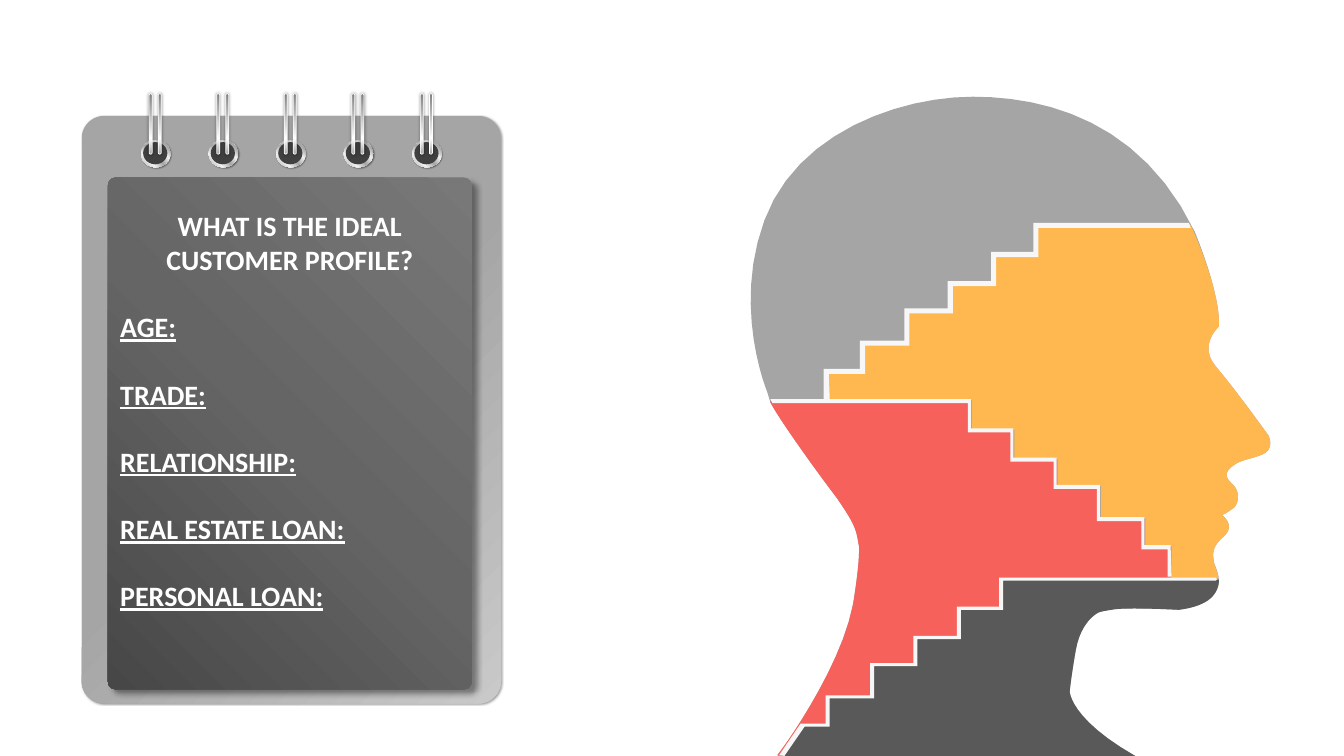
import pptx
import pptx.util
import pptx.dml.color
import pptx.enum.shapes
import pptx.enum.text
import pptx.oxml
import pptx.oxml.ns

PX = 9144  # EMU in one px, 100 px to the inch
KIND = pptx.enum.shapes.MSO_SHAPE
ALIGN = pptx.enum.text.PP_ALIGN
NS = pptx.oxml.ns.nsdecls("a")
Pt = pptx.util.Pt

# Gradients: stops, then the shading
RING = ([(0, "FFFFFF"), (17, "A6A6A6"), (35, "F2F2F2"), (55, "A6A6A6"),
         (75, "F2F2F2"), (100, "A6A6A6")], '<a:lin ang="2700000" scaled="0"/>')
WIRE = ([(0, "808080"), (23, "A6A6A6"), (52, "D9D9D9"), (74, "FFFFFF"),
         (100, "A6A6A6")], '<a:lin ang="5400000" scaled="0"/>')
BOARD = ([(0, "C9C9C9"), (50, "A5A5A5")],
         '<a:path path="circle"><a:fillToRect l="100000" t="100000"/></a:path>')
PAGE = ([(0, "474747"), (50, "656565"), (100, "787878")],
        '<a:path path="circle"><a:fillToRect t="100000" r="100000"/></a:path>')

# Curves of the head: control points, three to a segment
CROWN = [(761, 389), (726, 306), (758, 219), (790, 131), (893, 96), (965, 96),
         (1037, 96), (1132, 120), (1185, 230)]
FACE = [(1185, 230), (1211, 292), (1209, 324), (1209, 324), (1187, 343), (1207, 365),
        (1225, 386), (1258, 432), (1258, 432), (1258, 432), (1265, 445), (1252, 451),
        (1239, 456), (1231, 456), (1223, 462), (1215, 468), (1214, 473), (1223, 481),
        (1231, 489), (1228, 502), (1222, 505), (1215, 510), (1212, 511), (1212, 511),
        (1212, 511), (1226, 521), (1214, 532), (1201, 543), (1203, 550), (1204, 558)]
JAW = [(1206, 564), (1212, 575), (1207, 585)]
CHIN = [(1203, 594), (1193, 602), (1169, 605), (1169, 605), (1115, 602), (1102, 605),
        (1089, 607), (1089, 608), (1089, 608), (1089, 608), (1072, 616), (1067, 645),
        (1062, 674), (1061, 686), (1061, 686), (1061, 686), (1061, 713), (1126, 750)]
NAPE = [(771, 750), (833, 667), (846, 600), (846, 600), (853, 559), (852, 542),
        (849, 526), (850, 523), (830, 494), (807, 464), (771, 413), (764, 399)]


def color(text):
    return pptx.dml.color.RGBColor.from_string(text)


def curve(start, knots, parts=12):
    """Points along a chain of cubic curves."""
    out = [start]
    for a, b, c in zip(knots[::3], knots[1::3], knots[2::3]):
        last = out[-1]
        for n in range(1, parts + 1):
            t = n / parts
            u = 1 - t
            out.append(tuple(u**3 * p + 3 * u * u * t * q + 3 * u * t * t * r + t**3 * s
                             for p, q, r, s in zip(last, a, b, c)))
    return out


def stairs(x, y, side, last):
    """Five steps down, to the left (-1) or the right (1)."""
    out = [(x, y)]
    for run, rise in zip((42, 43, 43, 44, last), (29, 29, 27, 32, 28)):
        y += rise
        out.append((x, y))
        x += side * run
        out.append((x, y))
    return out


class Deck:
    def __init__(self):
        self.show = pptx.Presentation()
        self.show.slide_width, self.show.slide_height = 1333 * PX, 750 * PX
        self.slide = self.show.slides.add_slide(self.show.slide_layouts[6])
        self.font = {"name": "Calibri", "size": Pt(20), "bold": True}

    def group(self):
        self.art = self.slide.shapes.add_group_shape().shapes

    def flat(self, points, fill):
        pen, *rest = [(x * PX, y * PX) for x, y in points]
        form = self.art.build_freeform(*pen, scale=1.0)
        form.add_line_segments(rest, close=True)
        self.paint(form.convert_to_shape(), fill)

    def shape(self, kind, box, fill, shade=None, bend=None, line=None, flip=False):
        item = self.art.add_shape(kind, *[v * PX for v in box])
        if bend is not None:
            item.adjustments[0] = bend
        self.paint(item, fill, line)
        if shade:
            self.cast(item, *shade)
        if flip:
            item._element.spPr.find(pptx.oxml.ns.qn("a:xfrm")).set("flipH", "1")
        return item

    def paint(self, item, fill, line=None):
        item.shadow.inherit = False
        if isinstance(fill, str):
            item.fill.solid()
            item.fill.fore_color.rgb = color(fill)
        else:
            item.fill.gradient()
            stops = "".join(f'<a:gs pos="{at * 1000}"><a:srgbClr val="{tone}"/></a:gs>'
                            for at, tone in fill[0])
            new = pptx.oxml.parse_xml(f'<a:gradFill {NS} rotWithShape="1">'
                                      f'<a:gsLst>{stops}</a:gsLst>{fill[1]}</a:gradFill>')
            props = item._element.spPr
            props.replace(props.find(pptx.oxml.ns.qn("a:gradFill")), new)
        if line:
            item.line.color.rgb = color(line)
            item.line.width = Pt(0.5)
        else:
            item.line.fill.background()

    def cast(self, item, blur, dist, angle):
        glow = pptx.oxml.parse_xml(
            f'<a:outerShdw {NS} blurRad="{blur * 12700}" dist="{dist * 12700}" '
            f'dir="{angle * 60000}" rotWithShape="0"><a:srgbClr val="000000">'
            '<a:alpha val="40000"/></a:srgbClr></a:outerShdw>')
        item._element.spPr.find(pptx.oxml.ns.qn("a:effectLst")).append(glow)

    def label(self, item, title, fields):
        frame = item.text_frame
        style = {"word_wrap": True, "margin_top": 29 * PX,
                 "vertical_anchor": pptx.enum.text.MSO_ANCHOR.TOP}
        for key, value in style.items():
            setattr(frame, key, value)
        for n, words in enumerate([title, *fields]):
            para = frame.add_paragraph() if n else frame.paragraphs[0]
            style = {"alignment": ALIGN.LEFT if n else ALIGN.CENTER,
                     "line_spacing": Pt(24), "space_before": Pt(24 if n else 0)}
            for key, value in style.items():
                setattr(para, key, value)
            run = para.add_run()
            run.text = words
            for key, value in {**self.font, "underline": n > 0}.items():
                setattr(run.font, key, value)
            run.font.color.rgb = color("FFFFFF")


def main():
    deck = Deck()

    # Head: whole outline, then each part with its pale stair edge
    deck.group()
    deck.flat(curve((761, 389), CROWN + FACE + JAW + CHIN)
              + curve((771, 750), NAPE), "A5A5A5")
    deck.flat(curve((1180, 222), FACE) + [(1208, 570), (1208, 574), (1162, 574)]
              + stairs(964, 397, 1, 26)[::-1] + [(819, 397)]
              + stairs(1026, 222, -1, 36)[::-1], "FFB850")
    deck.flat([(1179, 221)] + stairs(1025, 221, -1, 36) + [(817, 396), (823, 396)]
              + stairs(1030, 226, -1, 36)[::-1] + [(1181, 226)], "F7F7F7")
    deck.flat([(764, 398)] + stairs(963, 398, 1, 26) + [(1161, 575)]
              + stairs(995, 575, -1, 25) + [(777, 749)]
              + curve((771, 749), NAPE), "F6615B")
    deck.flat([(764, 396)] + stairs(963, 396, 1, 26) + [(1162, 572), (1158, 572)]
              + stairs(960, 400, 1, 26)[::-1] + [(766, 400)], "F7F7F7")
    deck.flat(curve((1209, 575), [(1209, 580), (1208, 582), (1207, 585)] + CHIN)
              + [(773, 750), (776, 750)] + stairs(994, 575, -1, 25)[::-1], "595959")
    deck.flat([(1206, 573)] + stairs(991, 573, -1, 25) + [(773, 749), (778, 750)]
              + stairs(995, 576, -1, 25)[::-1] + [(1206, 576), (1207, 575)], "F7F7F7")

    # Notepad board
    deck.group()
    deck.shape(KIND.ROUNDED_RECTANGLE, (81, 115, 416, 583), BOARD, (1, 1, 45), 0.054)

    # Five rings, each with a hole and two wires
    for n in range(5):
        x = 140 + 269 * n // 4
        deck.shape(KIND.OVAL, (x, 139, 29, 27), RING, (1, 1, 45), flip=True)
        deck.shape(KIND.OVAL, (x + 2, 141, 24, 22), "404040")
        for gap in (17, 8):
            deck.shape(KIND.ROUNDED_RECTANGLE, (x + gap, 93, 3, 60), WIRE,
                       (2, 0, 0), 0.5, "FFFFFF", True)

    # Page with the profile fields
    page = deck.shape(KIND.ROUNDED_RECTANGLE, (107, 176, 361, 508), PAGE,
                      (4, 5, 45), 0.022)
    deck.label(page, "WHAT IS THE IDEAL CUSTOMER PROFILE?",
               ["AGE:", "TRADE:", "RELATIONSHIP:", "REAL ESTATE LOAN:", "PERSONAL LOAN:"])
    deck.show.save("out.pptx")


if __name__ == "__main__":
    main()
